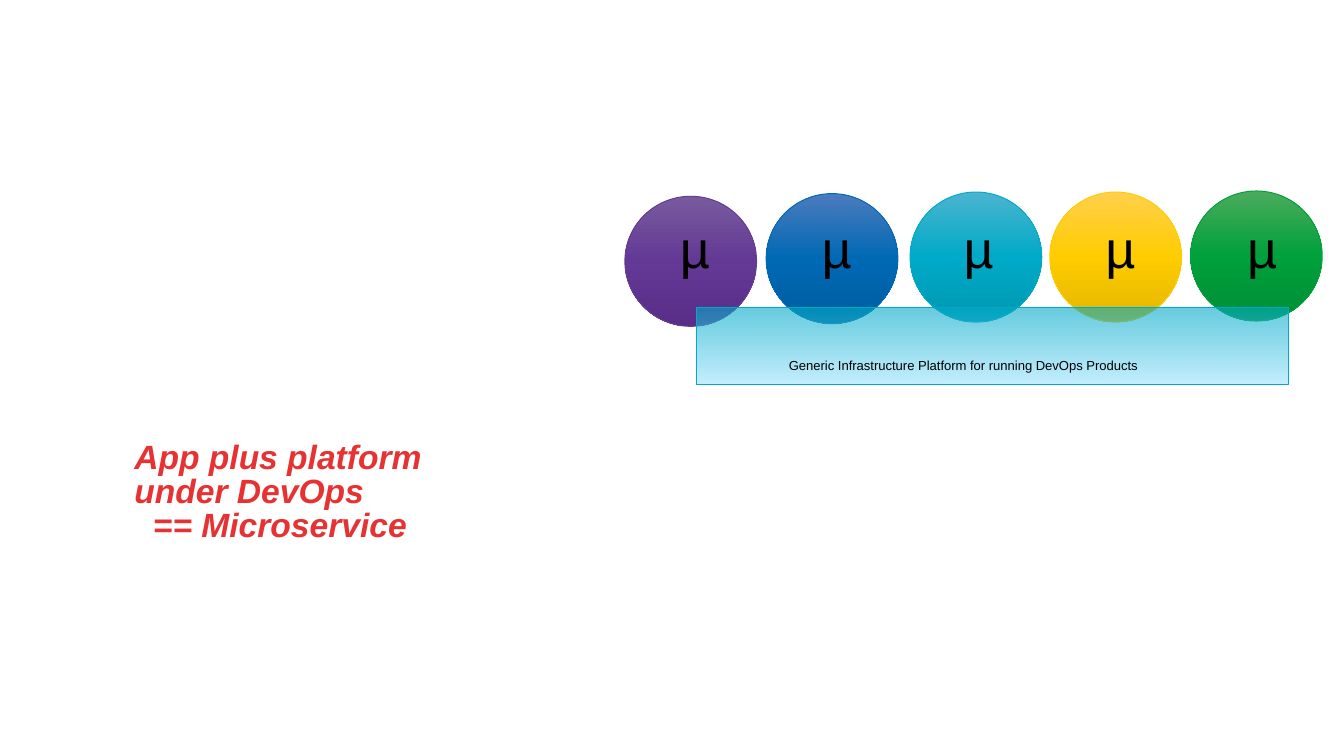
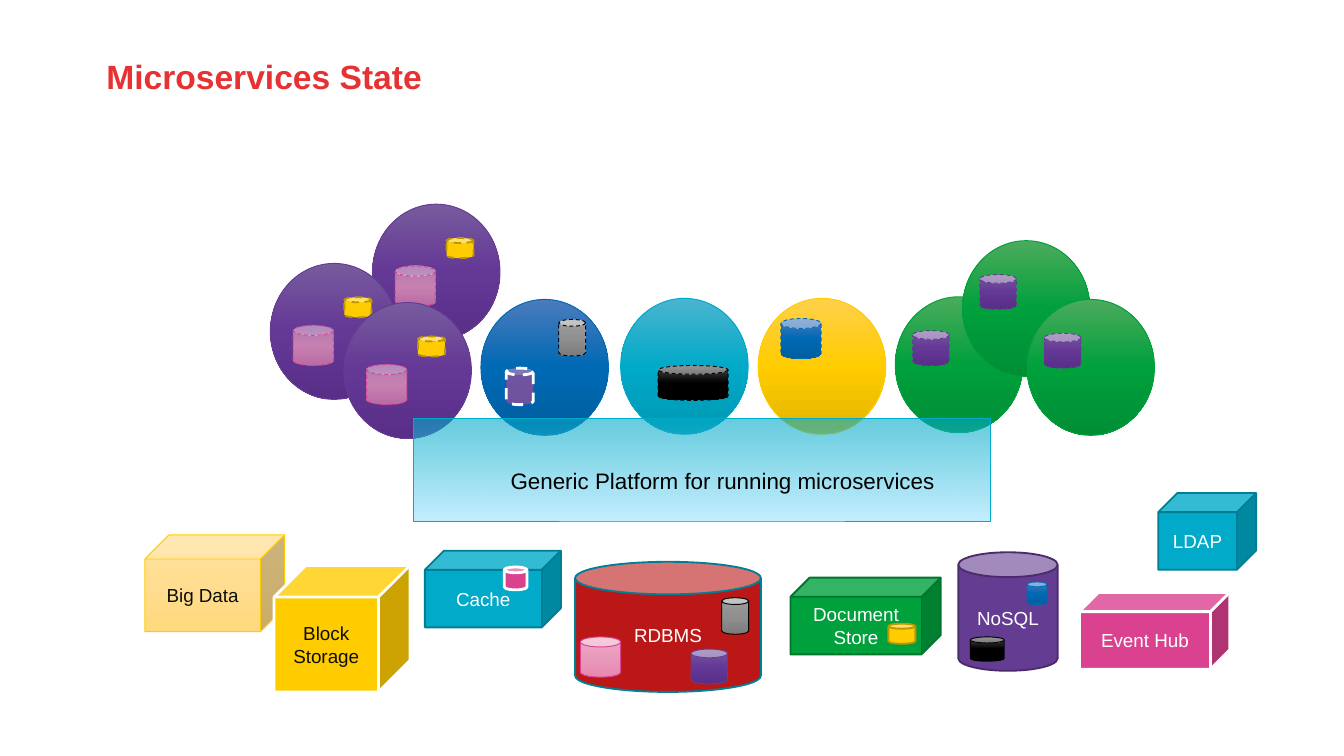
from lxml.etree import SubElement
from pptx import Presentation
from pptx.dml.color import RGBColor
from pptx.enum.dml import MSO_LINE
from pptx.enum.shapes import MSO_SHAPE
from pptx.enum.text import MSO_ANCHOR, MSO_AUTO_SIZE, PP_ALIGN
from pptx.oxml.ns import qn
from pptx.util import Cm, Pt

FONT = "Arial"
INK = {"title": "E63232", "black": "000000", "dark": "0D0D0D", "white": "FFFFFF"}

# Fill stops from top to bottom, one for a plain fill
FILL = {
    "purple": ["775B9E", "643895", "582E88"],
    "blue": ["4B7BBD", "0069B4", "005DA0"],
    "teal": ["4BB4D0", "00AAC8", "0097B2"],
    "yellow": ["FFD04B", "FFCC00", "E3B500"],
    "green": ["4BAB5C", "00A03C", "008E35"],
    "grey": ["9D9D9D", "909090", "7C7C7C"],
    "black": ["4B4B4B", "000000", "000000"],
    "pink": ["ECA9C5", "E89ABB", "E887B1"],
    "glaze": ["ECA9C5", "E89ABB", "E887B1"],
    "sand": ["FFE29E", "FFDD90", "FFD97C"],
    "band": ["00AAC8", "A3E5FF"],
    "gold": ["FFCC00"],
    "rose": ["DA4290"],
    "veil": ["DA4290"],
    "cache": ["00AAC8"],
    "red": ["BB1717"],
    "leaf": ["00A03C"],
    "plum": ["643C91"],
    "block": ["FFCC00"],
}
ALPHA = {"band": [60, 63], "glaze": [54, 76, 66], "veil": [51]}
EDGE = {
    "purple": "643C91", "blue": "0069B4", "teal": "00AAC8", "yellow": "FFCC00",
    "green": "00A03C", "grey": "000000", "black": "000000", "pink": "DA4290",
    "glaze": "DA4290", "sand": "FFCC00", "band": "00AAC8", "gold": "BD9700",
    "rose": "FFFFFF", "veil": "FFFFFF", "cache": "007E94", "red": "007E94",
    "leaf": "00762C", "plum": "4A2C6B", "block": "FFFFFF",
}
WIDTH = {"gold": 1, "cache": 1, "red": 1, "leaf": 1, "plum": 1,
         "rose": 1.5, "veil": 1.5, "block": 1.5}

# Cans inside a shape: fill, offset from its corner, size
CLUSTER = [("glaze", 0.43, 1.17, 0.76, 0.76), ("gold", 1.4, 0.64, 0.51, 0.38)]
LEAF = [("purple", 0.33, 0.64, 0.69, 0.66)]

PODS = [
    ("purple", 7.04, 3.86, CLUSTER),
    ("purple", 5.11, 4.98, CLUSTER),
    ("purple", 6.5, 5.72, CLUSTER),
    ("blue", 9.09, 5.66, [("grey", 1.47, 0.38, 0.51, 0.69),
                          ("veil", 0.48, 1.3, 0.51, 0.69)]),
    ("teal", 11.73, 5.64, [("black", 0.71, 1.27, 1.32, 0.66)]),
    ("yellow", 14.33, 5.64, [("blue", 0.43, 0.38, 0.76, 0.76)]),
    ("green", 16.92, 5.61, LEAF),
    ("green", 18.19, 4.55, LEAF),
    ("green", 19.41, 5.66, LEAF),
]
CUBE, CAN = MSO_SHAPE.CUBE, MSO_SHAPE.CAN
STORES = [
    (CUBE, "Cache", "cache", "white", (8.03, 10.41, 2.57, 1.45),
     [("rose", 1.5, 0.31, 0.43, 0.43)]),
    (CAN, "RDBMS", "red", "white", (10.87, 10.62, 3.51, 2.46),
     [("pink", 0.1, 1.42, 0.76, 0.76), ("grey", 2.77, 0.68, 0.51, 0.69),
      ("purple", 2.19, 1.65, 0.69, 0.66)]),
    (CUBE, "Document Store", "leaf", "white", (14.94, 10.92, 2.84, 1.45),
     [("gold", 1.85, 0.87, 0.51, 0.38)]),
    (CAN, "NoSQL", "plum", "white", (18.11, 10.44, 1.88, 2.24),
     [("black", 0.23, 1.6, 0.64, 0.46), ("blue", 1.3, 0.56, 0.38, 0.43)]),
    (CUBE, "Event Hub", "rose", "white", (20.4, 11.2, 2.84, 1.45), []),
    (CUBE, "Big Data", "sand", "dark", (2.74, 10.11, 2.64, 1.83), []),
    (CUBE, "Block Storage", "block", "dark", (5.18, 10.69, 2.57, 2.39), []),
    (CUBE, "LDAP", "cache", "white", (21.89, 9.32, 1.85, 1.45), []),
]


class Deck:
    def __init__(self):
        self.show = Presentation()
        self.show.slide_width, self.show.slide_height = Cm(25.4), Cm(14.29)
        self.slide = None

    def style(self, para, size, ink, bold=None, slant=None):
        font = para.font
        font.name, font.size = FONT, Pt(size)
        font.bold, font.italic = bold, slant
        font.color.rgb = RGBColor.from_string(INK[ink])

    def title(self, lines, box, slant=None, indent=0):
        """Start a slide; paragraphs after the first are indented."""
        self.slide = self.show.slides.add_slide(self.show.slide_layouts[5])
        head = self.slide.shapes.title
        head.left, head.top, head.width, head.height = map(Cm, box)
        frame = head.text_frame
        frame.auto_size = MSO_AUTO_SIZE.NONE
        frame.vertical_anchor = MSO_ANCHOR.MIDDLE
        frame.margin_left = frame.margin_right = 0
        frame.margin_top = frame.margin_bottom = 0
        frame.text = "\n".join(lines)
        for i, para in enumerate(frame.paragraphs):
            if i:
                para._p.get_or_add_pPr().set("marL", str(Cm(indent)))
            para.alignment = PP_ALIGN.LEFT
            para.line_spacing = 0.85
            self.style(para, 18, "title", True, slant)

    def paint(self, shape, name):
        stops = FILL[name]
        props = shape.element.spPr
        if len(stops) == 1:
            shape.fill.solid()
            shape.fill.fore_color.rgb = RGBColor.from_string(stops[0])
        else:
            shape.fill.gradient()
            shape.fill.gradient_angle = 270
            ramp = props.find(qn("a:gradFill")).find(qn("a:gsLst"))
            for old in list(ramp):
                ramp.remove(old)
            for i, tone in enumerate(stops):
                stop = SubElement(ramp, qn("a:gs"),
                                  pos=str(100000 * i // (len(stops) - 1)))
                SubElement(stop, qn("a:srgbClr"), val=tone)
        for tone, part in zip(list(props.iter(qn("a:srgbClr"))), ALPHA.get(name, [])):
            SubElement(tone, qn("a:alpha"), val=str(part * 1000))

    def shape(self, kind, name, box, dash=False):
        shape = self.slide.shapes.add_shape(kind, *map(Cm, box))
        shape.shadow.inherit = False
        self.paint(shape, name)
        shape.line.color.rgb = RGBColor.from_string(EDGE[name])
        shape.line.width = Pt(WIDTH.get(name, 0.5))
        if dash:
            shape.line.dash_style = MSO_LINE.DASH
        return shape

    def cans(self, left, top, items, dash=False):
        for name, x, y, wide, high in items:
            self.shape(CAN, name, (left + x, top + y, wide, high), dash)

    def pod(self, name, left, top, items):
        self.shape(MSO_SHAPE.OVAL, name, (left, top, 2.41, 2.57))
        self.cans(left, top, items, True)

    def store(self, kind, text, name, ink, box, items):
        shape = self.shape(kind, name, box)
        frame = shape.text_frame
        frame.word_wrap = True
        frame.margin_left = frame.margin_right = Cm(0.2)
        frame.vertical_anchor = MSO_ANCHOR.MIDDLE
        frame.text = text
        para = frame.paragraphs[0]
        para.alignment = PP_ALIGN.CENTER
        self.style(para, 10.1, ink)
        self.cans(*box[:2], items)

    def label(self, text, box, size):
        frame = self.slide.shapes.add_textbox(*map(Cm, box)).text_frame
        frame.word_wrap = False
        frame.auto_size = MSO_AUTO_SIZE.SHAPE_TO_FIT_TEXT
        frame.text = text
        self.style(frame.paragraphs[0], size, "black")

    def band(self, box, text, spot, size):
        self.shape(MSO_SHAPE.RECTANGLE, "band", box)
        self.label(text, spot, size)


def intro(deck):
    deck.title(["App plus platform \vunder DevOps", "== Microservice"],
               (2.54, 8.51, 21.62, 1.63), slant=True, indent=0.35)
    balls = [("purple", 11.81, 3.71), ("blue", 14.48, 3.66), ("teal", 17.2, 3.63),
             ("yellow", 19.84, 3.63), ("green", 22.5, 3.61)]
    for name, left, top in balls:
        deck.shape(MSO_SHAPE.OVAL, name, (left, top, 2.49, 2.46))
    deck.band((13.16, 5.82, 11.2, 1.45),
              "Generic Infrastructure Platform for running DevOps Products",
              (14.66, 6.63, 7.24, 0.56), 7)
    for i in range(len(balls)):
        deck.label("µ", (12.6 + 2.68 * i, 3.96, 1.09, 1.45), 28)


def state(deck):
    deck.title(["Microservices State"], (2.01, 0.79, 18.39, 1.4))
    for pod in PODS:
        deck.pod(*pod)
    deck.band((7.82, 7.92, 10.9, 1.93), "Generic Platform for running microservices",
              (9.4, 8.71, 8.59, 0.76), 12)
    for store in STORES:
        deck.store(*store)


def main():
    deck = Deck()
    intro(deck)
    state(deck)
    deck.show.save("out.pptx")


if __name__ == "__main__":
    main()
